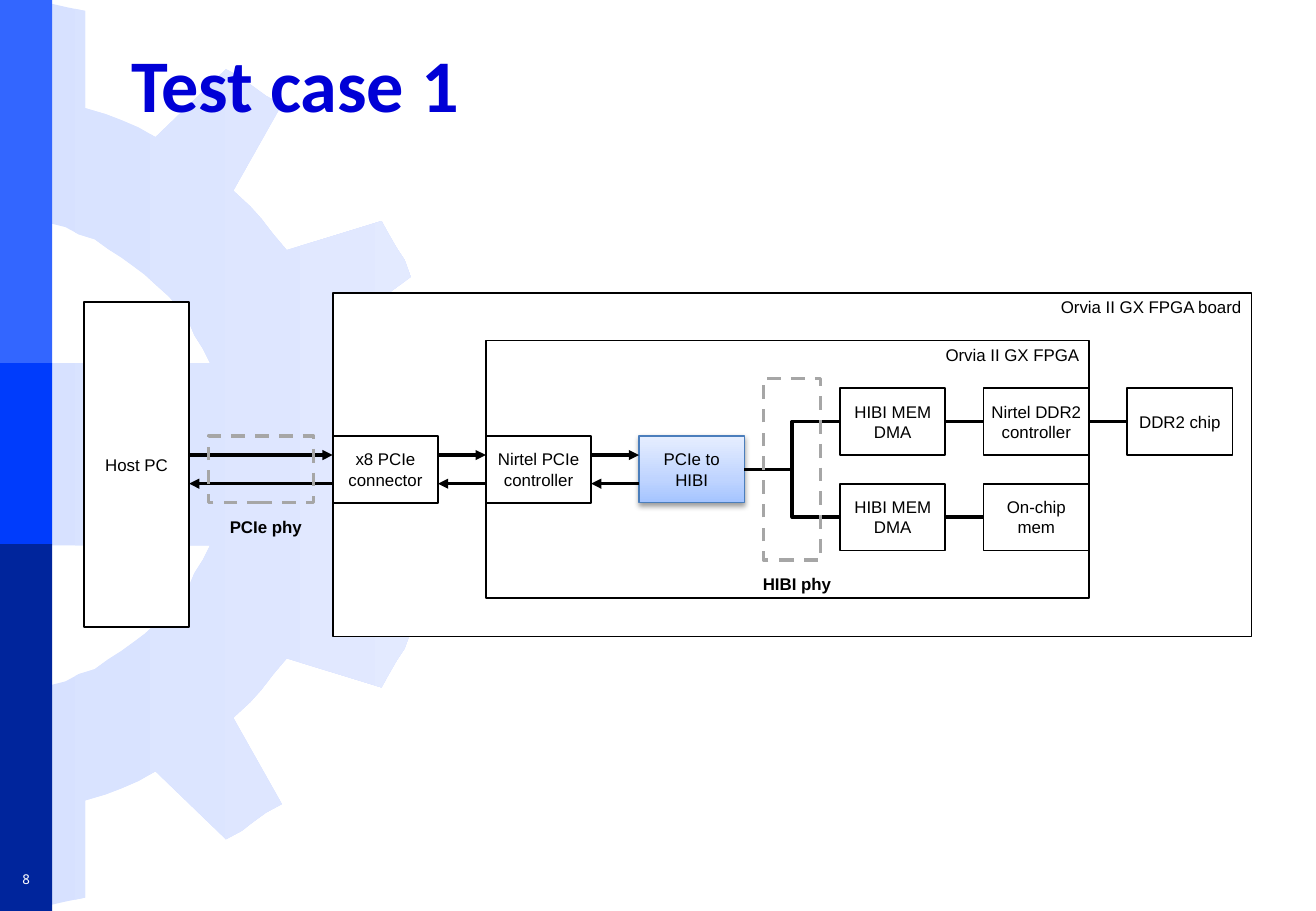
from copy import deepcopy
from itertools import pairwise

from lxml import etree
from pptx import Presentation
from pptx.dml.color import RGBColor
from pptx.enum.dml import MSO_LINE
from pptx.enum.shapes import MSO_CONNECTOR, MSO_SHAPE
from pptx.enum.text import MSO_ANCHOR, MSO_AUTO_SIZE, PP_ALIGN
from pptx.oxml.ns import qn
from pptx.util import Inches, Pt

RECT = MSO_SHAPE.RECTANGLE
LINE, ELBOW = MSO_CONNECTOR.STRAIGHT, MSO_CONNECTOR.ELBOW
DASH = MSO_LINE.DASH
MID, NONE = MSO_ANCHOR.MIDDLE, MSO_AUTO_SIZE.NONE
LEFT, CENTER = PP_ALIGN.LEFT, PP_ALIGN.CENTER

WIDE, HIGH, BAR = 10.83, 7.5, 0.43
COLS, ROWS = 122, 36
BOX_W, BOX_H = 11, 7
COLORS = {
    "black": "000000", "white": "FFFFFF", "grey": "A6A6A6", "title": "0000D6",
    "sky": "3366FF", "blue": "003CFC", "navy": "00259C", "edge": "4B7EBC",
    "mist": "D7E1FF", "haze": "E3EAFF",
    "deep": "A4C4FF", "soft": "BFD4FF", "pale": "E6EEFF",
}
GEAR = [
    (0, 449), (173, 449), (167, 461), (160, 472), (155, 484), (147, 495),
    (139, 504), (130, 512), (119, 522), (111, 528), (100, 536), (89, 543),
    (78, 551), (65, 555), (54, 561), (42, 564), (28, 568), (14, 570),
    (14, 749), (29, 746), (42, 745), (55, 742), (70, 739), (70, 659),
    (87, 654), (100, 649), (114, 643), (128, 635), (186, 691), (199, 684),
    (208, 677), (219, 669), (232, 662), (192, 591), (206, 578), (215, 568),
    (225, 555), (236, 542), (314, 566), (320, 555), (327, 543), (333, 534),
    (338, 520), (273, 472), (275, 457), (281, 442), (283, 427), (286, 412),
    (367, 400), (370, 385), (370, 374),
]
BOXES = {
    "host": (0, 1, BOX_W, 34, "Host PC", 0.1),
    "slot": (26, 15, BOX_W, BOX_H, "x8 PCIe connector", 0.1),
    "pcie": (42, 15, BOX_W, BOX_H, "Nirtel PCIe controller", 0.08),
    "bridge": (58, 15, BOX_W, BOX_H, "PCIe to HIBI", 0.1),
    "dma": (79, 10, BOX_W, BOX_H, "HIBI MEM DMA", 0.1),
    "dma2": (79, 20, BOX_W, BOX_H, "HIBI MEM DMA", 0.1),
    "ddr": (94, 10, BOX_W, BOX_H, "Nirtel DDR2 controller", 0.04),
    "mem": (94, 20, BOX_W, BOX_H, "On-chip mem", 0.1),
    "chip": (109, 10, BOX_W, BOX_H, "DDR2 chip", 0.1),
}
FRAMES = [(26, 0, 96, 36), (42, 5, 63, 27)]
PHYS = [(13, 15, 11, 7), (71, 9, 6, 19)]
LABELS = [
    (101, 0, 21, 3, "Orvia II GX FPGA board", False),
    (89, 5, 16, 3, "Orvia II GX FPGA", False),
    (13, 22, 12, 5, "PCIe phy", True),
    (70, 28, 9, 5, "HIBI phy", True),
]
LINKS = [
    ("bridge", "dma", ELBOW), ("bridge", "dma2", ELBOW), ("dma", "ddr", LINE),
    ("ddr", "chip", LINE), ("dma2", "mem", LINE),
]


def tint(name):
    """Return the named colour."""
    return RGBColor.from_string(COLORS[name])


def fade(shape, stops, angle):
    """Fill a shape with a gradient of (position, colour) stops."""
    shape.fill.gradient()
    shape.fill.gradient_angle = angle
    node = shape._element.spPr.find(".//" + qn("a:gsLst"))
    for _ in range(len(stops) - len(node)):
        node.append(deepcopy(node[-1]))
    for stop, (place, name) in zip(shape.fill.gradient_stops, stops):
        stop.position = place
        stop.color.rgb = tint(name)


def write(shape, text, size=10, font="Arial", color="black", bold=False,
          align=CENTER, side=0.1, wrap=True):
    """Put one formatted line of text into a shape."""
    frame = shape.text_frame
    frame.text = text
    form = {
        "margin_left": Inches(side), "margin_right": Inches(side),
        "margin_top": Inches(0.05), "margin_bottom": Inches(0.05),
        "vertical_anchor": MID, "word_wrap": wrap, "auto_size": NONE,
    }
    for key, value in form.items():
        setattr(frame, key, value)
    para = frame.paragraphs[0]
    para.alignment = align
    face = para.runs[0].font
    for key, value in {"size": Pt(size), "name": font, "bold": bold}.items():
        setattr(face, key, value)
    face.color.rgb = tint(color)


def block(slide, area, fill=None, line=None, width=1, dash=None):
    """Draw a rectangle on an area given in inches."""
    shape = slide.shapes.add_shape(RECT, *map(Inches, area))
    shape.shadow.inherit = False
    if fill:
        shape.fill.solid()
        shape.fill.fore_color.rgb = tint(fill)
    else:
        shape.fill.background()
    if line:
        shape.line.color.rgb = tint(line)
        shape.line.width = Pt(width)
        shape.line.dash_style = dash
    else:
        shape.line.fill.background()
    return shape


def label(slide, area, text, **form):
    """Add a text box on an area given in inches."""
    write(slide.shapes.add_textbox(*map(Inches, area)), text, **form)


def wire(slide, kind, start, end, arrow=False):
    """Draw a black connector between two points in inches."""
    link = slide.shapes.add_connector(kind, *map(Inches, (*start, *end)))
    link.line.color.rgb = tint("black")
    link.line.width = Pt(2)
    props = link._element.spPr
    if arrow:
        etree.SubElement(props.find(qn("a:ln")), qn("a:tailEnd"), type="triangle")
    etree.SubElement(props, qn("a:effectLst"))
    return link


def backdrop(slide, high):
    """Draw the gear and the three bars along the left edge."""
    half = [(x, 748 - y) for x, y in reversed(GEAR)]
    pen = slide.shapes.build_freeform(*GEAR[0], scale=Inches(high) / 750)
    pen.add_line_segments(GEAR[1:] + half)
    gear = pen.convert_to_shape()
    gear.shadow.inherit = False
    gear.line.fill.background()
    fade(gear, [(0, "mist"), (1, "haze")], 0)
    edges = pairwise((0, 2.99, 4.48, high))
    for (top, low), name in zip(edges, ("sky", "blue", "navy")):
        block(slide, (0, top, BAR, low - top), name)
    label(slide, (0, 7.11, BAR, 0.26), "8", size=8, font="Noto Sans Mono",
          color="white", wrap=False)


def heading(slide, area, text):
    """Place the title above the backdrop."""
    title = slide.shapes.title
    slide.shapes._spTree.append(title._element)
    for key, value in zip(("left", "top", "width", "height"), area):
        setattr(title, key, Inches(value))
    write(title, text, 44, "Calibri", "title", True, LEFT)


def glow(shape):
    """Give the bridge box its gradient and soft shadow."""
    fade(shape, [(0, "deep"), (0.35, "soft"), (1, "pale")], 90)
    node = shape._element.spPr.find(qn("a:effectLst"))
    cast = etree.SubElement(node, qn("a:outerShdw"), blurRad="40000",
                            dist="20000", dir="5400000", rotWithShape="0")
    shade = etree.SubElement(cast, qn("a:srgbClr"), val=COLORS["black"])
    etree.SubElement(shade, qn("a:alpha"), val="38000")


def diagram(slide, left, top, width, height):
    """Draw the test set-up on a grid of columns and rows."""
    def spot(col, row):
        return left + col * width / COLS, top + row * height / ROWS

    def area(col, row, cols, rows):
        return *spot(col, row), cols * width / COLS, rows * height / ROWS

    for cells in FRAMES:
        block(slide, area(*cells), "white", "black")
    boxes = {}
    for name, (*cells, text, side) in BOXES.items():
        look = ("edge", 0.75) if name == "bridge" else ("black", 1)
        boxes[name] = block(slide, area(*cells), "white", *look)
        write(boxes[name], text, side=side)
    glow(boxes["bridge"])
    for one, two in pairwise(("host", "slot", "pcie", "bridge")):
        near, far = BOXES[one][0] + BOX_W, BOXES[two][0]
        wire(slide, LINE, spot(near, 17), spot(far, 17), True)
        wire(slide, LINE, spot(far, 20), spot(near, 20), True)
    for one, two, kind in LINKS:
        link = wire(slide, kind, spot(0, 0), spot(1, 1))
        link.begin_connect(boxes[one], 3)
        link.end_connect(boxes[two], 1)
    for cells in PHYS:
        block(slide, area(*cells), None, "grey", 2, DASH)
    for *cells, text, bold in LABELS:
        label(slide, area(*cells), text, bold=bold, side=0.04)


def main():
    """Build and save the slide."""
    deck = Presentation()
    deck.slide_width, deck.slide_height = Inches(WIDE), Inches(HIGH)
    slide = deck.slides.add_slide(deck.slide_layouts[5])
    backdrop(slide, HIGH)
    heading(slide, (0.98, 0.21, 9.39, 0.94), "Test case 1")
    diagram(slide, 0.69, 2.41, 9.61, 2.83)
    deck.save("out.pptx")


if __name__ == "__main__":
    main()
